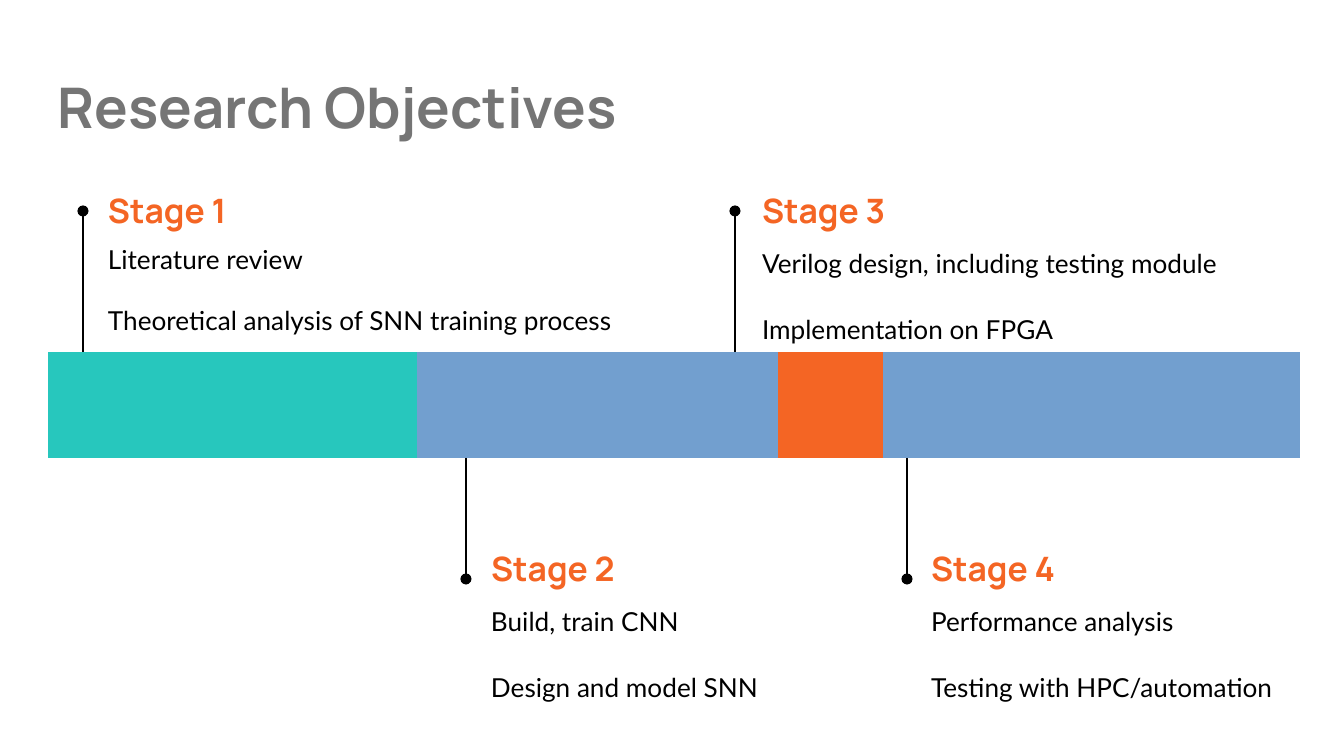
import pptx
import pptx.util
import pptx.dml.color
import pptx.enum.shapes
import pptx.enum.text
import pptx.oxml.ns
import lxml.etree

SCALE = 914400 / 134.4
RGB = pptx.dml.color.RGBColor.from_string
ANCHOR = pptx.enum.text.MSO_ANCHOR


class Theme:
    grey, black, orange, teal = "757575", "000000", "F46524", "27C7BD"
    head, body = "Manrope", "Lato"
    title, stage, text = 30, 18, 14
    line, inset = 0.75, 13
    plain = "{2D5ABB26-0587-4C30-8999-92F81FD0307C}"


def px(size):
    return pptx.util.Emu(round(size * SCALE))


def assign(target, values):
    for name, value in values.items():
        setattr(target, name, value)


class Board:
    def __init__(self, deck, theme):
        self.theme = theme
        self.slide = deck.slides.add_slide(deck.slide_layouts[5])
        self.shapes = self.slide.shapes

    def fill_text(self, shape, lines, font, anchor=ANCHOR.TOP, spacing=1.0):
        frame = shape.text_frame
        inset = px(self.theme.inset)
        assign(frame, {
            "word_wrap": True, "auto_size": pptx.enum.text.MSO_AUTO_SIZE.NONE,
            "vertical_anchor": anchor, "margin_left": inset,
            "margin_right": inset, "margin_top": inset, "margin_bottom": inset,
        })
        name, size, color, bold = font
        for index, line in enumerate(lines):
            para = frame.add_paragraph() if index else frame.paragraphs[0]
            gap = pptx.util.Pt(16 if index else 0)
            assign(para, {
                "alignment": pptx.enum.text.PP_ALIGN.LEFT,
                "line_spacing": spacing, "space_before": gap, "space_after": gap,
            })
            run = para.add_run()
            run.text = line
            assign(run.font, {"name": name, "size": pptx.util.Pt(size), "bold": bold})
            run.font.color.rgb = RGB(color)

    def title(self, text, left, top, width, height):
        shape = self.shapes.title
        assign(shape, {"left": px(left), "top": px(top),
                       "width": px(width), "height": px(height)})
        look = self.theme
        self.fill_text(shape, [text], (look.head, look.title, look.grey, True))

    def text(self, lines, box, font, **style):
        shape = self.shapes.add_textbox(*map(px, box))
        self.fill_text(shape, lines, font, **style)

    def bar(self, left, top, height, widths, spans):
        frame = self.shapes.add_table(1, len(widths), px(left), px(top),
                                      px(sum(widths)), px(height))
        table = frame.table
        assign(table, {"first_row": False, "horz_banding": False})
        style = table._tbl.tblPr.find(pptx.oxml.ns.qn("a:tableStyleId"))
        style.text = self.theme.plain
        for column, width in zip(table.columns, widths):
            column.width = px(width)
        start = 0
        for count, color in spans:
            cell = table.cell(0, start)
            cell.merge(table.cell(0, start + count - 1))
            cell.fill.solid()
            cell.fill.fore_color.rgb = RGB(color)
            start += count

    def pin(self, x, start, end):
        line = self.shapes.add_connector(
            pptx.enum.shapes.MSO_CONNECTOR.STRAIGHT,
            px(x), px(start), px(x), px(end))
        line.line.width = pptx.util.Pt(self.theme.line)
        line.line.color.rgb = RGB(self.theme.black)
        tail = lxml.etree.SubElement(line.line._get_or_add_ln(),
                                     pptx.oxml.ns.qn("a:tailEnd"))
        tail.set("type", "oval")
        lxml.etree.SubElement(line._element.spPr, pptx.oxml.ns.qn("a:effectLst"))

    def stage(self, name, lines, x, left, width, above, spacing):
        look = self.theme
        start, end, top = (352, 211, 181) if above else (458, 579, 539)
        self.pin(x, start, end)
        self.text([name], (left, top, 342, 58),
                  (look.head, look.stage, look.orange, True),
                  anchor=ANCHOR.MIDDLE)
        self.text(lines, (left, top + 49, width, 85),
                  (look.body, look.text, look.black, False), spacing=spacing)


def main():
    deck = pptx.Presentation()
    assign(deck, {"slide_width": px(1344), "slide_height": px(756)})
    look = Theme()
    board = Board(deck, look)
    board.title("Research Objectives", 45, 60, 1252, 94)
    unit = 104.5
    widths = [unit] * 3 + [56, 152] + [unit] * 7
    board.bar(48, 352, 106, widths, [(4, look.teal), (8, look.orange)])
    stages = [
        (["Literature review", "Theoretical analysis of SNN training process"],
         83, 95, 552, 1.0),
        (["Build, train CNN", "Design and model SNN"], 466, 478, 340, 1.15),
        (["Verilog design, including testing module", "Implementation on FPGA"],
         735, 749, 500, 1.15),
        (["Performance analysis", "Testing with HPC/automation"],
         907, 918, 382, 1.15),
    ]
    for number, (lines, x, left, width, spacing) in enumerate(stages, 1):
        board.stage(f"Stage {number}", lines, x, left, width,
                    number % 2 == 1, spacing)
    deck.save("out.pptx")


if __name__ == "__main__":
    main()
